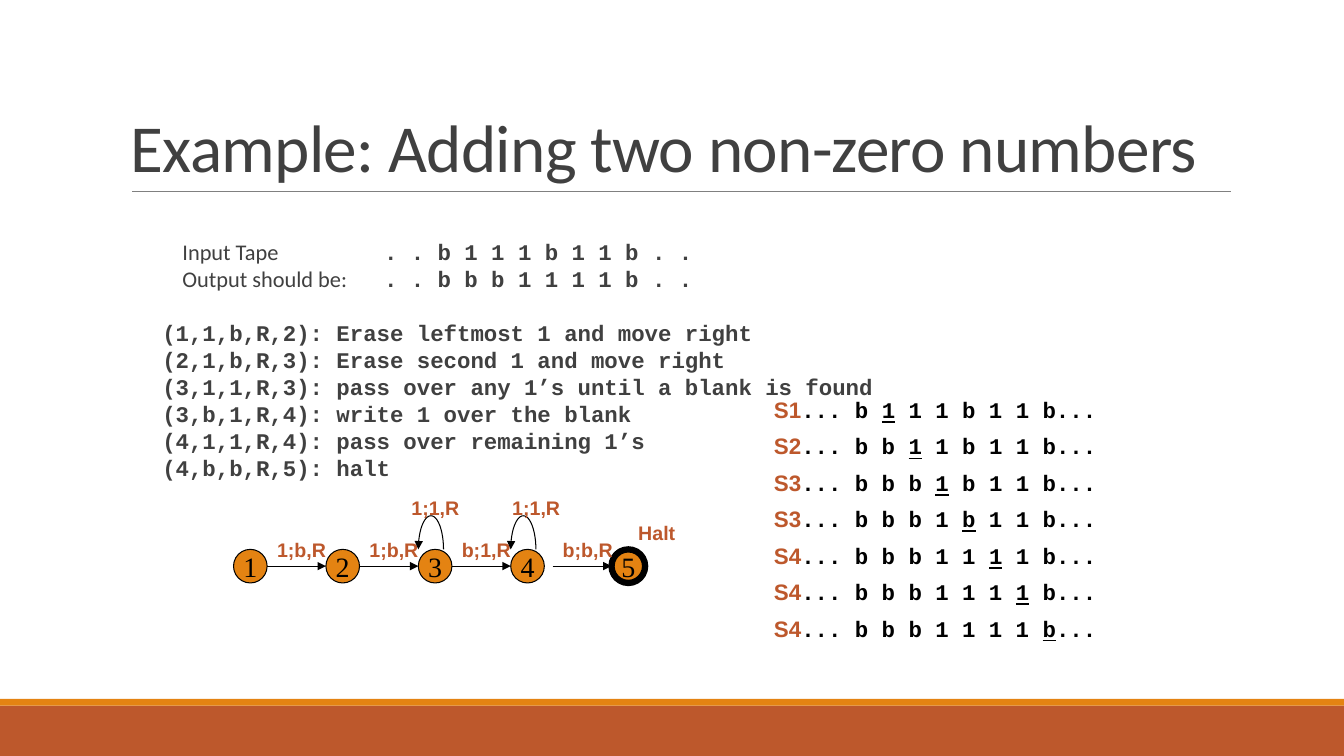
from dataclasses import dataclass
from math import cos, pi, sin

from lxml.etree import SubElement
from pptx import Presentation
from pptx.dml.color import RGBColor
from pptx.enum.shapes import MSO_CONNECTOR as Connector, MSO_SHAPE as Preset
from pptx.enum.text import MSO_ANCHOR as Anchor, PP_ALIGN as Align
from pptx.oxml.ns import qn
from pptx.util import Inches, Pt

COLUMNS, ROWS = 40, 22.5
CELL = Inches(13.333) / COLUMNS

RUST = RGBColor(0xBD, 0x58, 0x2C)
ORANGE = RGBColor(0xE4, 0x83, 0x12)
GRAY = RGBColor(0x40, 0x40, 0x40)
RULE_GRAY = RGBColor(0x80, 0x80, 0x80)
BLACK = RGBColor(0, 0, 0)

TAPES = [
    ("Input Tape", ". . b 1 1 1 b 1 1 b . ."),
    ("Output should be:", ". . b b b 1 1 1 1 b . ."),
]
INSTRUCTIONS = [
    "(1,1,b,R,2): Erase leftmost 1 and move right",
    "(2,1,b,R,3): Erase second 1 and move right",
    "(3,1,1,R,3): pass over any 1’s until a blank is found",
    "(3,b,1,R,4): write 1 over the blank",
    "(4,1,1,R,4): pass over remaining 1’s",
    "(4,b,b,R,5): halt",
]
TRACE = [
    ("S1", "b111b11b"), ("S2", "bb11b11b"), ("S3", "bbb1b11b"),
    ("S3", "bbb1b11b"), ("S4", "bbb1111b"), ("S4", "bbb1111b"),
    ("S4", "bbb1111b"),
]
MOVES = ["1;b,R", "1;b,R", "b;1,R", "b;b,R"]


@dataclass
class Box:
    left: float
    top: float
    width: float
    height: float

    def inner(self, left, top, width, height):
        return Box(self.left + left, self.top + top, width, height)

    def emu(self):
        return [cells(n) for n in (self.left, self.top, self.width, self.height)]


def cells(count):
    return round(count * CELL)


def write(frame, paragraphs, font="Calibri", size=16, color=GRAY, bold=False,
          align=Align.LEFT, anchor=Anchor.TOP, wrap=True, insets=(0.1, 0.05),
          line_spacing=None, space_before=0, tab=None, tracking=None):
    frame.word_wrap = wrap
    frame.vertical_anchor = anchor
    frame.margin_left = frame.margin_right = Inches(insets[0])
    frame.margin_top = frame.margin_bottom = Inches(insets[1])
    for index, runs in enumerate(paragraphs):
        paragraph = frame.add_paragraph() if index else frame.paragraphs[0]
        paragraph.alignment = align
        if line_spacing:
            paragraph.line_spacing = line_spacing
        if index and space_before:
            paragraph.space_before = Pt(space_before)
        if tab:
            tabs = SubElement(paragraph._p.get_or_add_pPr(), qn("a:tabLst"))
            SubElement(tabs, qn("a:tab"), pos=str(cells(tab)), algn="l")
        for text, changes in ([(runs, {})] if isinstance(runs, str) else runs):
            run = paragraph.add_run()
            run.text = text
            run.font.name = changes.get("font", font)
            run.font.size = Pt(size)
            run.font.bold = changes.get("bold", bold)
            run.font.underline = changes.get("underline")
            run.font.color.rgb = changes.get("color", color)
            if tracking:
                run.font._element.set("spc", str(round(tracking * 100)))


def add_text(slide, box, paragraphs, **style):
    shape = slide.shapes.add_textbox(*box.emu())
    write(shape.text_frame, paragraphs, **style)


def add_preset(slide, box, preset, fill, line=None, weight=0.75):
    shape = slide.shapes.add_shape(preset, *box.emu())
    shape.shadow.inherit = False
    shape.fill.solid()
    shape.fill.fore_color.rgb = fill
    if line is None:
        shape.line.fill.background()
    else:
        shape.line.color.rgb = line
        shape.line.width = Pt(weight)
    return shape


def add_line(slide, box, color, weight, arrow=False):
    left, top, width, height = box.emu()
    line = slide.shapes.add_connector(
        Connector.STRAIGHT, left, top, left + width, top + height)
    line.line.color.rgb = color
    line.line.width = Pt(weight)
    if arrow:
        SubElement(line.line._get_or_add_ln(), qn("a:tailEnd"), type="triangle")
    SubElement(line._element.spPr, qn("a:effectLst"))


def add_loop(slide, box, steps=24):
    radius = box.width / 2
    points = [
        (cells(box.left + radius - radius * cos(pi * step / steps)),
         cells(box.top + box.height * (1 - sin(pi * step / steps))))
        for step in range(steps + 1)
    ]
    builder = slide.shapes.build_freeform(*points[0], scale=1.0)
    builder.add_line_segments(points[1:], close=False)
    loop = builder.convert_to_shape()
    loop.shadow.inherit = False
    loop.fill.background()
    loop.line.color.rgb = BLACK
    loop.line.width = Pt(0.75)
    SubElement(loop.line._get_or_add_ln(), qn("a:headEnd"), type="triangle")


def add_footer(slide, box):
    add_preset(slide, box.inner(0, 0.2, box.width, box.height - 0.2),
               Preset.RECTANGLE, RUST)
    add_preset(slide, box.inner(0, 0, box.width, 0.2), Preset.RECTANGLE, ORANGE)


def add_title(slide, box):
    add_line(slide, box.inner(0.33, box.height, 32.7, 0), RULE_GRAY, 0.5)
    add_text(slide, box, ["Example: Adding two non-zero numbers"], size=48,
             anchor=Anchor.BOTTOM, line_spacing=0.85, tracking=-0.5)


def add_program(slide, box):
    style = dict(insets=(0, 0), line_spacing=Pt(19.3))
    mono = dict(font="Courier New", bold=True)
    tapes = [[(f"{label}\t", {}), (tape, mono)] for label, tape in TAPES]
    add_text(slide, box.inner(0.6, 0, 20, 1.6), tapes, tab=6, **style)
    add_text(slide, box.inner(0, 2.41, box.width, 4.83), INSTRUCTIONS,
             **mono, **style)


def add_machine(slide, box):
    label = dict(font="Arial", size=14, color=RUST, bold=True, wrap=False)
    state_lefts = [0, 2.75, 5.5, 8.25, 11.25]
    for index, left in enumerate(state_lefts):
        halts = index == len(MOVES)
        state = add_preset(slide, box.inner(left, 1.75, 1, 1), Preset.OVAL,
                           ORANGE, BLACK, 4.5 if halts else 0.75)
        write(state.text_frame, [str(index + 1)], font="Times New Roman",
              size=20, color=BLACK, align=Align.CENTER, anchor=Anchor.MIDDLE,
              wrap=False, insets=(0, 0))
    for move, target in zip(MOVES, state_lefts[1:]):
        start = target - 1.75
        add_line(slide, box.inner(start, 2.25, 1.75, 0), BLACK, 0.75, arrow=True)
        add_text(slide, box.inner(start, 1.25, 2.1, 1), [move], **label)
    for loop_left, label_left in zip(state_lefts[2:4], (5, 8)):
        add_loop(slide, box.inner(loop_left, 0.75, 0.75, 1))
        add_text(slide, box.inner(label_left, 0, 2.1, 1), ["1;1,R"], **label)
    add_text(slide, box.inner(11.75, 0.75, 1.75, 1), ["Halt"], **label)


def add_trace(slide, box):
    steps = []
    for head, (state, tape) in enumerate(TRACE, start=1):
        before = "".join(f"{symbol} " for symbol in tape[:head])
        after = "".join(f" {symbol}" for symbol in tape[head + 1:])
        steps.append([
            (state, dict(font="Arial", color=RUST)),
            (f"... {before}", {}),
            (tape[head], dict(underline=True)),
            (f"{after}...", {}),
        ])
    add_text(slide, box, steps, font="Courier New", color=BLACK, bold=True,
             line_spacing=0.9, space_before=8.8)


def main():
    presentation = Presentation()
    presentation.slide_width = cells(COLUMNS)
    presentation.slide_height = cells(ROWS)
    slide = presentation.slides.add_slide(presentation.slide_layouts[6])
    add_footer(slide, Box(0, 20.8, COLUMNS, 1.7))
    add_title(slide, Box(3.6, 0.93, 33, 4.77))
    add_program(slide, Box(4.83, 7.08, 24, 7.24))
    add_machine(slide, Box(6.95, 14.6, 13.5, 2.75))
    add_trace(slide, Box(22.74, 11.73, 11, 7.77))
    presentation.save("out.pptx")


if __name__ == "__main__":
    main()
